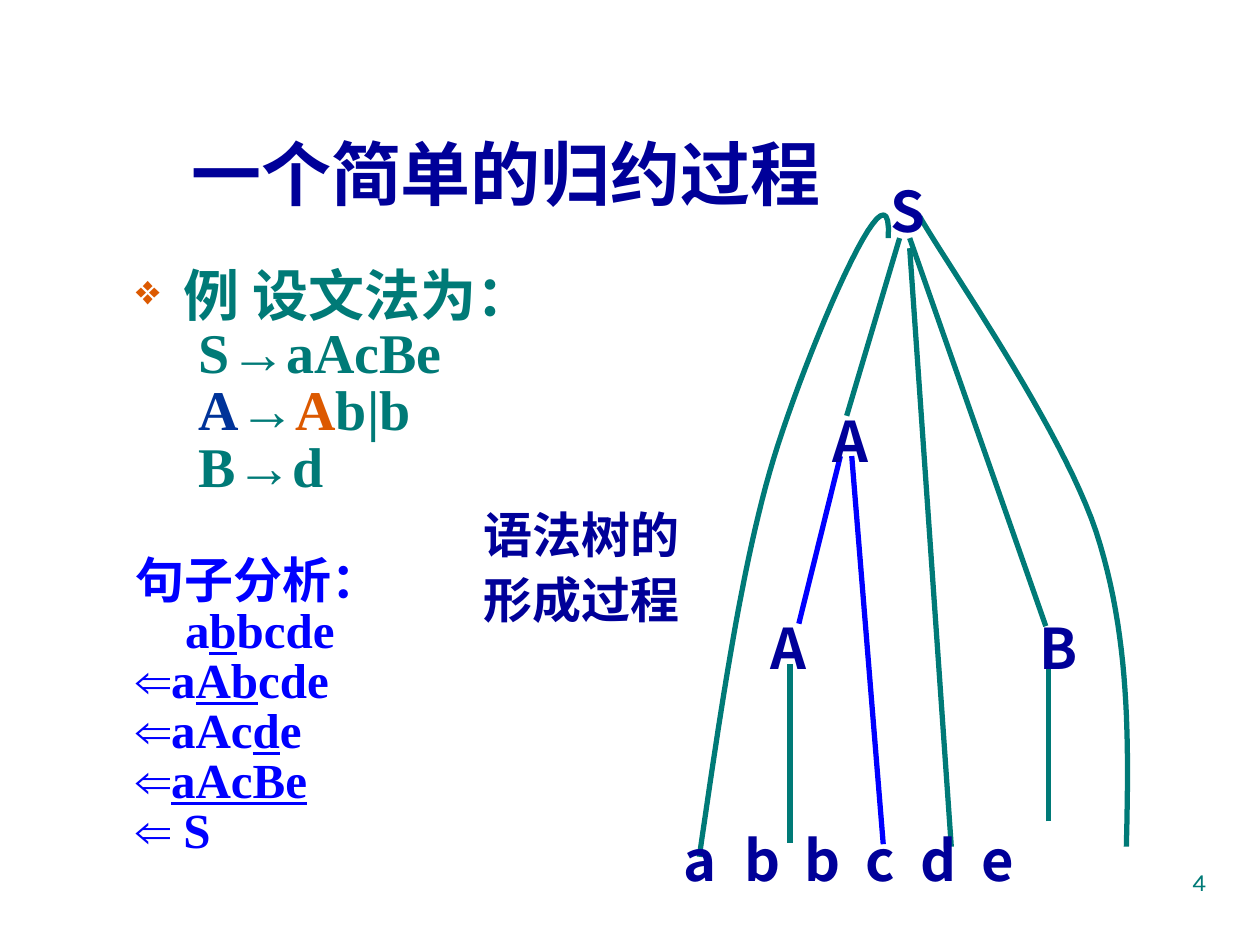
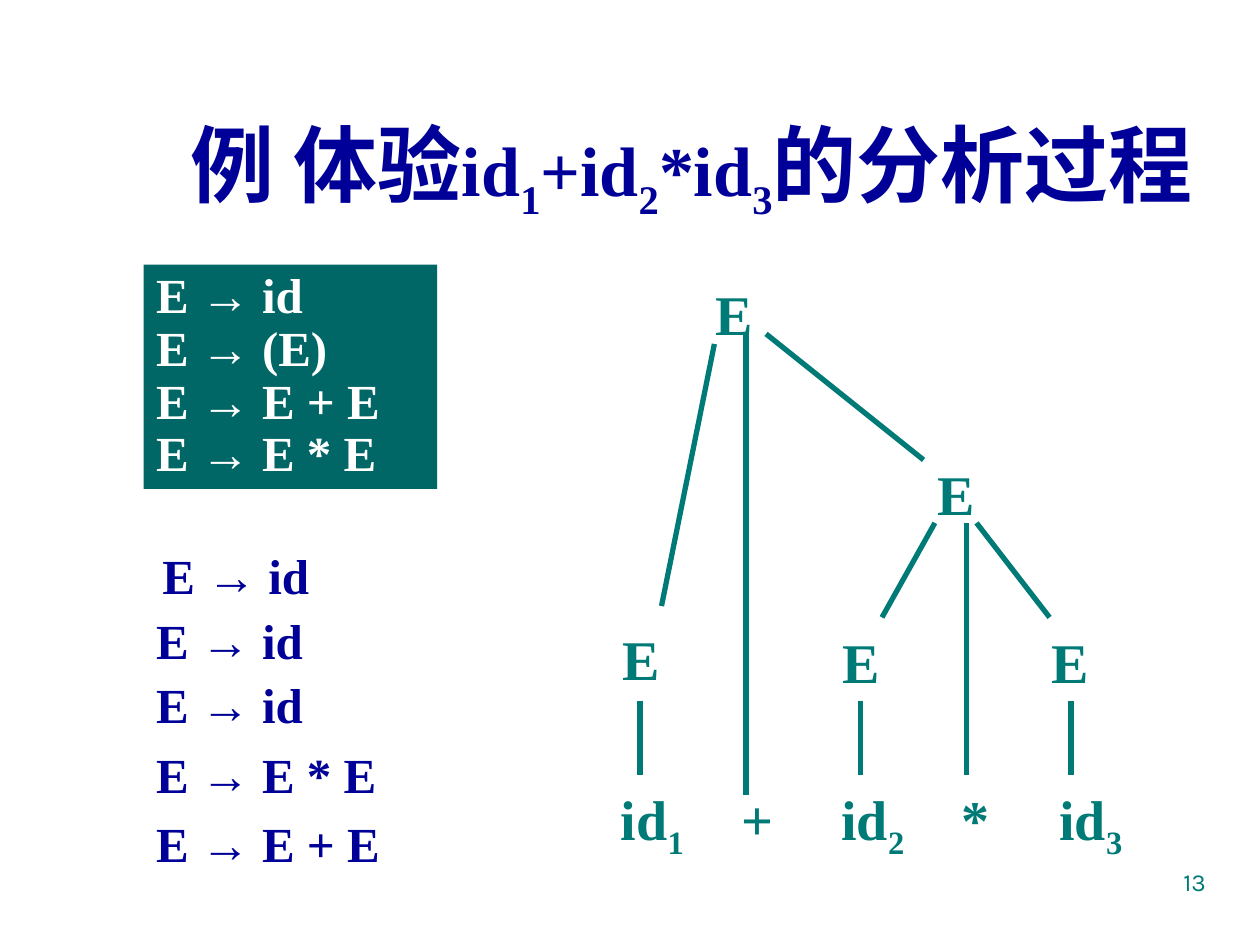
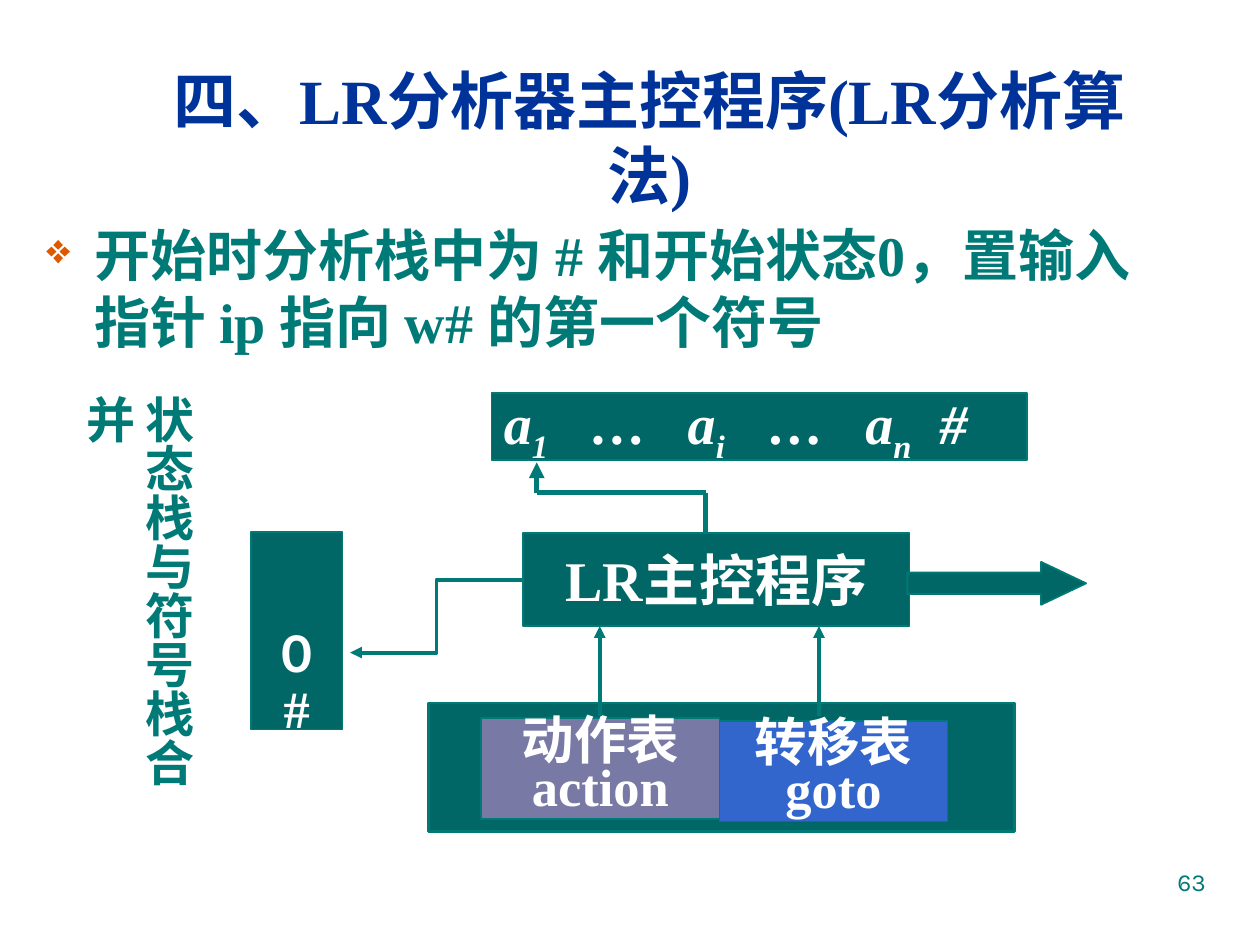
from lxml import etree
from pptx import Presentation
from pptx.dml.color import RGBColor
from pptx.enum.shapes import MSO_CONNECTOR as LINK, MSO_SHAPE as SHAPE
from pptx.enum.text import MSO_ANCHOR as ANCHOR, PP_ALIGN as ALIGN
from pptx.oxml.ns import qn
from pptx.util import Inches, Pt

NAVY, BLUE, ROYAL = "000099", "0000FF", "003399"
TEAL, DEEP_TEAL, ORANGE, WHITE = "007A77", "006666", "DC5900", "FFFFFF"
TIMES, KARLA, CJK = "Times New Roman", "Karla", "Noto Sans CJK SC"
rgb = RGBColor.from_string


def write(shape, paragraphs, size, color, font=TIMES, bold=True, italic=None,
          align=ALIGN.LEFT, anchor=ANCHOR.TOP, spacing=None, tabs=(), bullet=False):
    """Fill a shape; a run is a string or a (string, changes) pair."""
    frame = shape.text_frame
    frame.word_wrap = True
    frame.vertical_anchor = anchor
    for index, runs in enumerate(paragraphs):
        para = frame.paragraphs[0] if index == 0 else frame.add_paragraph()
        props = para._p.get_or_add_pPr()
        if bullet and index == 0:
            props.set("marL", str(Inches(0.38)))
            props.set("indent", str(-Inches(0.38)))
            tint = etree.SubElement(props, qn("a:buClr"))
            etree.SubElement(tint, qn("a:srgbClr"), val=ORANGE)
            etree.SubElement(props, qn("a:buSzPct"), val="75000")
            etree.SubElement(props, qn("a:buChar"), char="❖")
        if tabs:
            stops = etree.SubElement(props, qn("a:tabLst"))
            for stop in tabs:
                etree.SubElement(stops, qn("a:tab"), pos=str(Inches(stop)), algn="l")
        para.alignment = align
        para.line_spacing = spacing
        for item in runs:
            text, changes = (item, {}) if isinstance(item, str) else item
            run = para.add_run()
            run.text = text
            run.font.size = Pt(changes.get("size", size))
            run.font.bold = bold
            run.font.italic = italic
            run.font.underline = changes.get("underline")
            run.font.color.rgb = rgb(changes.get("color", color))
            run.font.name = font
            run_props = run._r.get_or_add_rPr()
            etree.SubElement(run_props, qn("a:ea"), typeface=CJK)
            if changes.get("sub"):
                run_props.set("baseline", "-25000")


def connect(slide, start, end, color=TEAL, width=3, kind=LINK.STRAIGHT, arrow=None):
    """Draw a connector; arrow is headEnd (at start) or tailEnd (at end)."""
    link = slide.shapes.add_connector(kind, *map(Inches, (*start, *end)))
    link.line.color.rgb = rgb(color)
    link.line.width = Pt(width)
    if arrow:
        etree.SubElement(link.line._get_or_add_ln(), qn(f"a:{arrow}"), type="triangle")
    etree.SubElement(link.element.spPr, qn("a:effectLst"))
    return link


deck = Presentation()
deck.slide_width, deck.slide_height = Inches(10), Inches(7.5)
SUB, UNDER = {"sub": True}, {"underline": True}

# Titles and page numbers
pages = [
    ((1.06, 0.99, 5.91, 0.75), ["一个简单的归约过程"], 40, NAVY, "4"),
    ((0.98, 0.84, 9.02, 0.98),
     [("例 体验", {"size": 48}), "id", ("1", SUB), "+id", ("2", SUB), "*id", ("3", SUB),
      ("的分析过程", {"size": 48})], 40, NAVY, "13"),
    ((0.98, 0.68, 8.35, 0.81), ["四、LR分析器主控程序(LR分析算法)"], 36, ROYAL, "63"),
]
for place, title, size, color, number in pages:
    slide = deck.slides.add_slide(deck.slide_layouts[6])
    write(slide.shapes.add_textbox(*map(Inches, place)), [title], size, color,
          align=ALIGN.CENTER, anchor=ANCHOR.MIDDLE)
    corner = slide.shapes.add_textbox(*map(Inches, (7.17, 6.83, 2.5, 0.52)))
    write(corner, [[number]], 14, TEAL, KARLA, bold=False, align=ALIGN.RIGHT)
reduction, experience, controller = deck.slides

# Slide 1: grammar, sentence analysis and syntax tree
grammar = reduction.shapes.add_textbox(*map(Inches, (0.98, 2.1, 3.39, 1.95)))
write(grammar, [["例 设文法为："], ["S→aAcBe"],
                [("A", {"color": ROYAL}), "→", ("A", {"color": ORANGE}), "b|b"],
                ["B→d"]], 32, TEAL, spacing=0.85, bullet=True)
for rule in grammar.text_frame.paragraphs[1:]:
    rule._p.pPr.set("marL", str(Inches(0.5)))

analysis = reduction.shapes.add_textbox(*map(Inches, (0.98, 4.38, 2.25, 2.49)))
write(analysis, [["句子分析："],
                 ["a", ("b", UNDER), "bcde"],
                 ["⇐a", ("Ab", UNDER), "cde"],
                 ["⇐aAc", ("d", UNDER), "e"],
                 ["⇐", ("aAcBe", UNDER)],
                 ["⇐ S"]], 28, BLUE, spacing=0.85)
analysis.text_frame.paragraphs[1]._p.pPr.set("marL", str(Inches(0.39)))

for start, end, color in [
    ((6.27, 6.69), (6.27, 5.27), TEAL), ((8.32, 6.52), (8.32, 5.27), TEAL),
    ((6.34, 4.95), (6.67, 3.62), BLUE), ((7.01, 6.7), (6.76, 3.62), BLUE),
    ((7.55, 6.72), (7.22, 1.97), TEAL), ((6.72, 3.3), (7.14, 1.89), TEAL),
    ((8.3, 4.97), (7.22, 1.89), TEAL),
]:
    connect(reduction, start, end, color)

# Outer branches: a start point, then two cubic segments
for branch in [
    [(5.55, 6.8), (5.72, 5.63), (5.89, 4.46), (6.14, 3.64), (6.39, 2.82), (7.09, 1.15), (7.05, 1.89)],
    [(8.94, 6.72), (8.96, 5.89), (8.97, 5.05), (8.7, 4.22), (8.42, 3.39), (7.53, 2.12), (7.3, 1.72)],
]:
    points = []
    for first in (0, 3):
        for step in range(1, 25):
            t = step / 24
            weights = ((1 - t) ** 3, 3 * t * (1 - t) ** 2, 3 * t ** 2 * (1 - t), t ** 3)
            points.append([Inches(sum(w * p[axis] for w, p in zip(weights, branch[first:first + 4])))
                           for axis in (0, 1)])
    builder = reduction.shapes.build_freeform(*map(Inches, branch[0]))
    builder.add_line_segments(points, close=False)
    curve = builder.convert_to_shape()
    curve.shadow.inherit = False
    curve.fill.background()
    curve.line.color.rgb = rgb(TEAL)
    curve.line.width = Pt(3)

for symbol, left, top in [("A", 6.02, 4.77), ("B", 8.15, 4.77), ("A", 6.51, 3.12), ("S", 6.97, 1.3)]:
    node = reduction.shapes.add_textbox(*map(Inches, (left, top, 0.43, 0.69)))
    write(node, [[symbol]], 32, NAVY, CJK, spacing=1.1)
sentence = reduction.shapes.add_textbox(*map(Inches, (5.33, 6.45, 3.76, 0.69)))
write(sentence, [["\t".join("abbcde")]], 32, NAVY, CJK, spacing=1.1,
      tabs=(0.48, 0.96, 1.44, 1.88, 2.36))
caption = reduction.shapes.add_textbox(*map(Inches, (3.74, 3.91, 1.83, 1.13)))
write(caption, [["语法树的形成过程"]], 28, NAVY, "Noto Sans CJK JP", spacing=1.1)

# Slide 2: productions, reductions and parse tree
productions = experience.shapes.add_shape(SHAPE.RECTANGLE, *map(Inches, (1.14, 2.1, 2.33, 1.78)))
productions.shadow.inherit = False
productions.fill.solid()
productions.fill.fore_color.rgb = rgb(DEEP_TEAL)
productions.line.fill.background()
write(productions, [["E → id"], ["E → (E)"], ["E → E + E"], ["E → E * E"]], 28, WHITE, spacing=0.9)

for step, left, top, spacing in [
    ("E → id", 1.19, 4.28, None), ("E → id", 1.14, 4.85, 0.9), ("E → id", 1.14, 5.36, 0.9),
    ("E → E * E", 1.14, 5.91, 0.9), ("E → E + E", 1.14, 6.46, 0.9),
]:
    reduced = experience.shapes.add_textbox(*map(Inches, (left, top, 2.5, 0.52)))
    write(reduced, [[step]], 28, NAVY, spacing=spacing)

leaves = experience.shapes.add_textbox(*map(Inches, (4.83, 6.18, 4.34, 0.63)))
write(leaves, [["id", ("1", SUB), "\t+\tid", ("2", SUB), "\t*\tid", ("3", SUB)]], 32, TEAL,
      tabs=(0.96, 1.75, 2.7, 3.48))
for left, top in [(4.84, 4.91), (6.59, 4.93), (8.25, 4.93), (7.34, 3.6), (5.58, 2.17)]:
    write(experience.shapes.add_textbox(*map(Inches, (left, top, 0.5, 0.63))), [["E"]], 32, TEAL)
for x in (5.08, 6.83, 8.5):
    connect(experience, (x, 5.56), (x, 6.15))
for start, end in [
    ((5.67, 2.73), (5.25, 4.81)), ((7.42, 4.15), (7, 4.9)), ((7.75, 4.15), (8.33, 4.9)),
    ((6.08, 2.65), (7.33, 3.65)), ((5.92, 6.31), (5.92, 2.65)), ((7.67, 6.15), (7.67, 4.15)),
]:
    connect(experience, start, end)

# Slide 3: structure of the LR parser
opening = controller.shapes.add_textbox(*map(Inches, (0.27, 1.7, 9.07, 1.26)))
write(opening, [["开始时分析栈中为 # 和开始状态0，置输入指针 ip 指向 w# 的第一个符号"]],
      32, TEAL, bullet=True)

blocks = []
for kind, place, fill, width in [
    (SHAPE.RECTANGLE, (3.4, 5.58, 4.65, 1.02), DEEP_TEAL, 1.5),
    (SHAPE.RECTANGLE, (3.9, 3.12, 4.25, 0.53), DEEP_TEAL, 1),
    (SHAPE.RECTANGLE, (4.15, 4.23, 3.07, 0.74), DEEP_TEAL, 1),
    (SHAPE.RECTANGLE, (3.82, 5.7, 1.89, 0.8), "7979A5", 1),
    (SHAPE.RECTANGLE, (5.71, 5.72, 1.81, 0.8), "3366CC", 1),
    (SHAPE.RECTANGLE, (1.99, 4.22, 0.73, 1.57), DEEP_TEAL, 1),
    (SHAPE.RIGHT_ARROW, (7.2, 4.46, 1.42, 0.34), DEEP_TEAL, 1),
]:
    block = controller.shapes.add_shape(kind, *map(Inches, place))
    block.shadow.inherit = False
    block.fill.solid()
    block.fill.fore_color.rgb = rgb(fill)
    block.line.color.rgb = rgb(TEAL)
    block.line.width = Pt(width)
    blocks.append(block)
tables, tape, program, action, goto, stack, output = blocks
output.adjustments[1] = 1.05

write(tape, [["a", ("1", SUB), "\t…\ta", ("i", SUB), "\t…\ta", ("n", SUB), "\t#"]], 32, WHITE,
      italic=True, anchor=ANCHOR.MIDDLE, tabs=(0.69, 1.46, 2.1, 2.87, 3.46))
write(program, [["LR主控程序"]], 32, WHITE, align=ALIGN.CENTER, anchor=ANCHOR.MIDDLE)
for table, lines in [(action, [["动作表"], ["action"]]), (goto, [["转移表"], ["goto"]])]:
    write(table, lines, 30, WHITE, align=ALIGN.CENTER, anchor=ANCHOR.MIDDLE, spacing=0.75)
write(stack, [[("０", {"size": 28})], ["#"]], 30, WHITE, align=ALIGN.CENTER, spacing=0.9)
stack.text_frame.margin_top = Inches(0.78)
stack.text_frame.paragraphs[0].runs[0].font.name = KARLA

to_stack = connect(controller, (2.78, 5.18), (4.15, 4.6), width=2.25, kind=LINK.ELBOW, arrow="headEnd")
to_stack.end_connect(program, 1)
for x in (4.76, 6.5):
    connect(controller, (x, 5.68), (x, 4.97), width=2.25, arrow="tailEnd")
connect(controller, (4.26, 3.91), (4.26, 3.67), arrow="tailEnd")
connect(controller, (4.26, 3.91), (5.6, 3.91))
connect(controller, (5.6, 3.91), (5.6, 4.22))

stack_label = controller.shapes.add_textbox(*map(Inches, (0.95, 3.04, 0.67, 3.67)))
write(stack_label, [["状态栈与符号栈合并"]], 28, TEAL, KARLA)
stack_label.element.txBody.bodyPr.set("vert", "eaVert")

deck.save("out.pptx")
